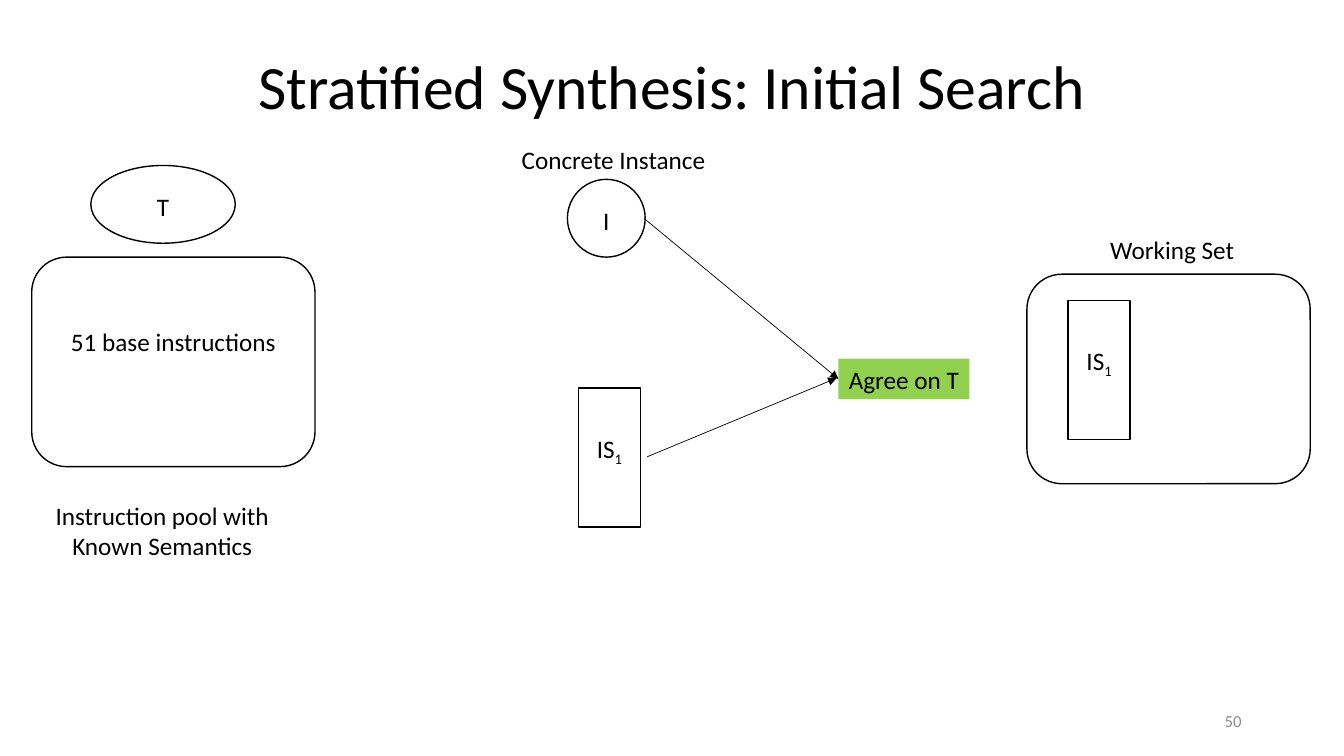
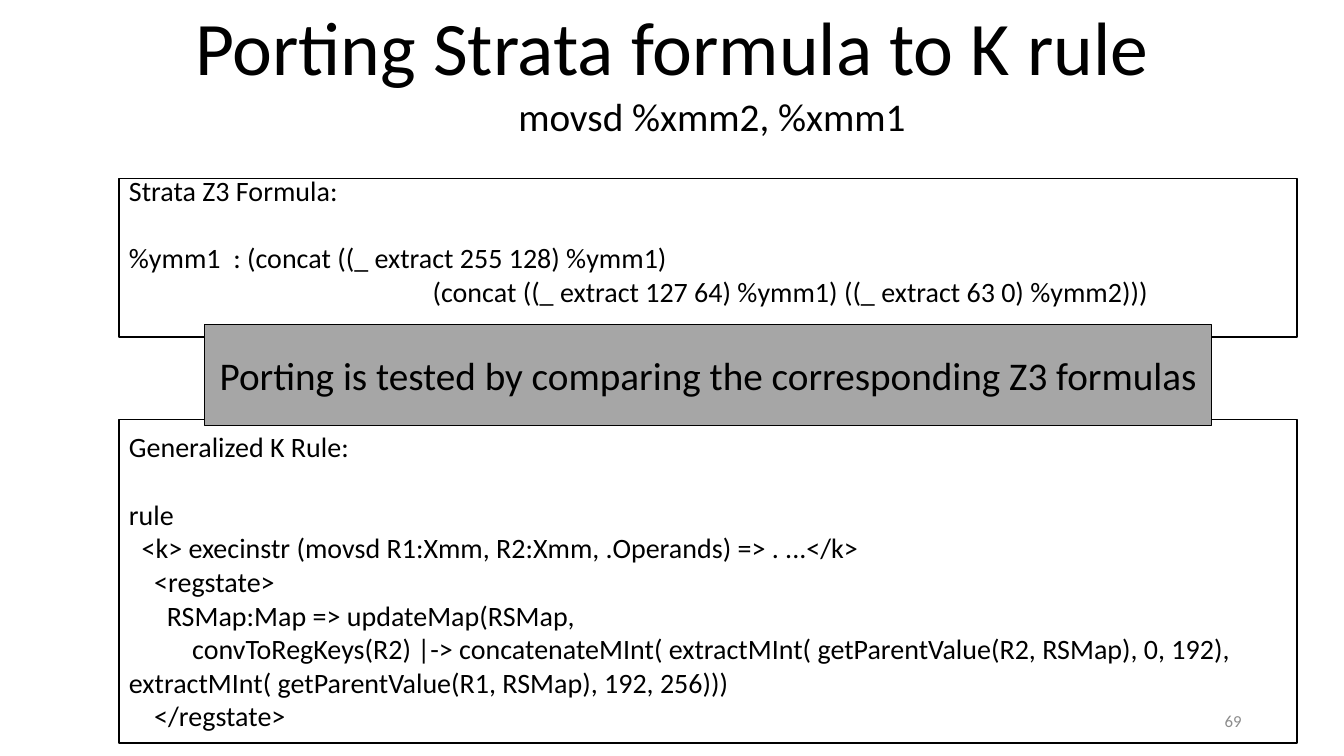
from lxml import etree
from pptx import Presentation
from pptx import util as u
from pptx.dml import color
from pptx.enum import shapes, text
from pptx.oxml import ns

FONT = "Calibri"
BLACK, WHITE, GREEN = "000000", "FFFFFF", "92D050"
BANNER_GRAY, NUMBER_GRAY = "A6A6A6", "8C8C8C"
LEFT, CENTER, RIGHT = text.PP_ALIGN.LEFT, text.PP_ALIGN.CENTER, text.PP_ALIGN.RIGHT
RECT, OVAL = shapes.MSO_SHAPE.RECTANGLE, shapes.MSO_SHAPE.OVAL
ROUNDED = shapes.MSO_SHAPE.ROUNDED_RECTANGLE

FORMULA = """Strata Z3 Formula:
%ymm1  : (concat ((_ extract 255 128) %ymm1)
                                                (concat ((_ extract 127 64) %ymm1) ((_ extract 63 0) %ymm2)))"""
K_RULE = """Generalized K Rule:
rule
  <k> execinstr (movsd R1:Xmm, R2:Xmm, .Operands) => . ...</k>
    <regstate>
      RSMap:Map => updateMap(RSMap,
          convToRegKeys(R2) |-> concatenateMInt( extractMInt( getParentValue(R2, RSMap), 0, 192), extractMInt( getParentValue(R1, RSMap), 192, 256)))
    </regstate>"""


def rgb(value):
    """Turn a hex string into a colour."""
    return color.RGBColor.from_string(value)


def set_text(box, words, size=18, ink=BLACK, align=CENTER, wrap=True,
             subscript="", heading_gap=0, line_spacing=None):
    """Fill a shape with formatted text, one paragraph per line."""
    frame = box.text_frame
    frame.word_wrap = wrap
    frame.vertical_anchor = text.MSO_ANCHOR.MIDDLE
    for index, line in enumerate(words.split("\n")):
        para = frame.add_paragraph() if index else frame.paragraphs[0]
        para.alignment = align
        if line_spacing:
            para.line_spacing = line_spacing
        if index == 1 and heading_gap:
            para.space_before = u.Pt(heading_gap)
        for part in filter(None, (line, subscript)):
            span = para.add_run()
            span.text = part
            span.font.name = FONT
            span.font.size = u.Pt(size)
            span.font.color.rgb = rgb(ink)
        if subscript:
            span.font._element.set("baseline", "-25000")


def add_label(slide, words, left, top, width, height=1.02, **style):
    """Add a plain text box."""
    box = slide.shapes.add_textbox(*map(u.Cm, (left, top, width, height)))
    set_text(box, words, **style)


def add_box(slide, kind, left, top, width, height, fill=None, outline=BLACK):
    """Add a flat shape with an optional fill and outline."""
    box = slide.shapes.add_shape(kind, *map(u.Cm, (left, top, width, height)))
    box.shadow.inherit = False
    if fill:
        box.fill.solid()
        box.fill.fore_color.rgb = rgb(fill)
    else:
        box.fill.background()
    if outline:
        box.line.color.rgb = rgb(outline)
        box.line.width = u.Pt(1)
    else:
        box.line.fill.background()
    return box


def add_node(slide, kind, words, left, top, width, height, shift=0, **style):
    """Add an outlined shape whose text sits a little off its middle."""
    box = add_box(slide, kind, left, top, width, height)
    frame = box.text_frame
    frame.margin_left = frame.margin_right = 0
    frame.margin_top = u.Cm(max(2 * shift, 0))
    frame.margin_bottom = u.Cm(max(-2 * shift, 0))
    set_text(box, words, **style)


def add_sequence(slide, left, top):
    """Add the tall box of an instruction sequence."""
    add_node(slide, RECT, "IS", left, top, 1.56, 3.5, shift=-0.19, subscript="1")


def add_pool(slide, words, left, top):
    """Add a rounded container of instructions."""
    add_node(slide, ROUNDED, words, left, top, 7.14, 5.28, shift=-0.51)


def add_arrow(slide, *ends):
    """Add a thin straight arrow."""
    arrow = slide.shapes.add_connector(shapes.MSO_CONNECTOR.STRAIGHT, *map(u.Cm, ends))
    arrow.line.color.rgb = rgb(BLACK)
    arrow.line.width = u.Pt(0.5)
    etree.SubElement(arrow.line._get_or_add_ln(), ns.qn("a:tailEnd"), type="triangle")
    etree.SubElement(arrow._element.spPr, ns.qn("a:effectLst"))


def add_code(slide, words, top, height, bottom_margin=0.13):
    """Add a framed listing with a gap below its heading."""
    box = add_box(slide, RECT, 3, top, 29.69, height, fill=WHITE)
    box.text_frame.margin_bottom = u.Cm(bottom_margin)
    set_text(box, words, size=20, align=LEFT, heading_gap=24.4)


def add_slide(deck, title, top, height, size):
    """Add a title-only slide and place its title."""
    slide = deck.slides.add_slide(deck.slide_layouts[5])
    box = slide.shapes.title
    box.left, box.top, box.width, box.height = map(u.Cm, (2.33, top, 29.21, height))
    set_text(box, title, size=size, line_spacing=0.9)
    return slide


def add_number(slide, number):
    """Add the page number at the lower right."""
    add_label(slide, number, 23.92, 17.65, 7.62, size=12, ink=NUMBER_GRAY, align=RIGHT)


def build_search(deck):
    """Build the slide on the initial search."""
    slide = add_slide(deck, "Stratified Synthesis: Initial Search", 1.01, 2.5, 44)
    add_node(slide, OVAL, "T", 2.29, 4.17, 3.64, 1.96, shift=0.06)
    add_pool(slide, "51 base instructions", 0.8, 6.48)
    add_label(slide, "Instruction pool with\nKnown Semantics", 1.12, 12.47, 5.94, 1.8, wrap=False)

    add_label(slide, "Concrete Instance", 11.65, 3.51, 7.62)
    add_node(slide, OVAL, "I", 14.3, 4.52, 1.96, 1.96, shift=0.06)
    add_sequence(slide, 14.58, 9.78)
    add_arrow(slide, 16.24, 5.51, 21.13, 9.55)
    add_arrow(slide, 16.31, 11.51, 21.08, 9.53)
    verdict = add_box(slide, RECT, 21.13, 9.04, 3.3, 1.02, fill=GREEN, outline=None)
    set_text(verdict, "Agree on T", wrap=False)

    add_pool(slide, "", 25.88, 6.91)
    add_label(slide, "Working Set", 27.71, 5.77, 3.66, wrap=False)
    add_sequence(slide, 26.92, 7.57)
    add_number(slide, "50")


def build_porting(deck):
    """Build the slide on porting a formula to a rule."""
    slide = add_slide(deck, "Porting Strata formula to K rule", 0.2, 2.16, 54)
    instruction = add_box(slide, RECT, 12.62, 2.34, 10.64, 1.17, fill=WHITE, outline=None)
    set_text(instruction, "movsd %xmm2, %xmm1", size=28)
    add_code(slide, FORMULA, 4.5, 3.99, bottom_margin=0.99)
    add_code(slide, K_RULE, 10.57, 8.15)
    banner = add_box(slide, RECT, 5.16, 8.18, 25.37, 2.54, fill=BANNER_GRAY)
    set_text(banner, "Porting is tested by comparing the corresponding Z3 formulas", size=28)
    add_number(slide, "69")


def main():
    """Build and save the deck."""
    deck = Presentation()
    deck.slide_width, deck.slide_height = u.Cm(33.87), u.Cm(19.05)
    build_search(deck)
    build_porting(deck)
    deck.save("out.pptx")


if __name__ == "__main__":
    main()
